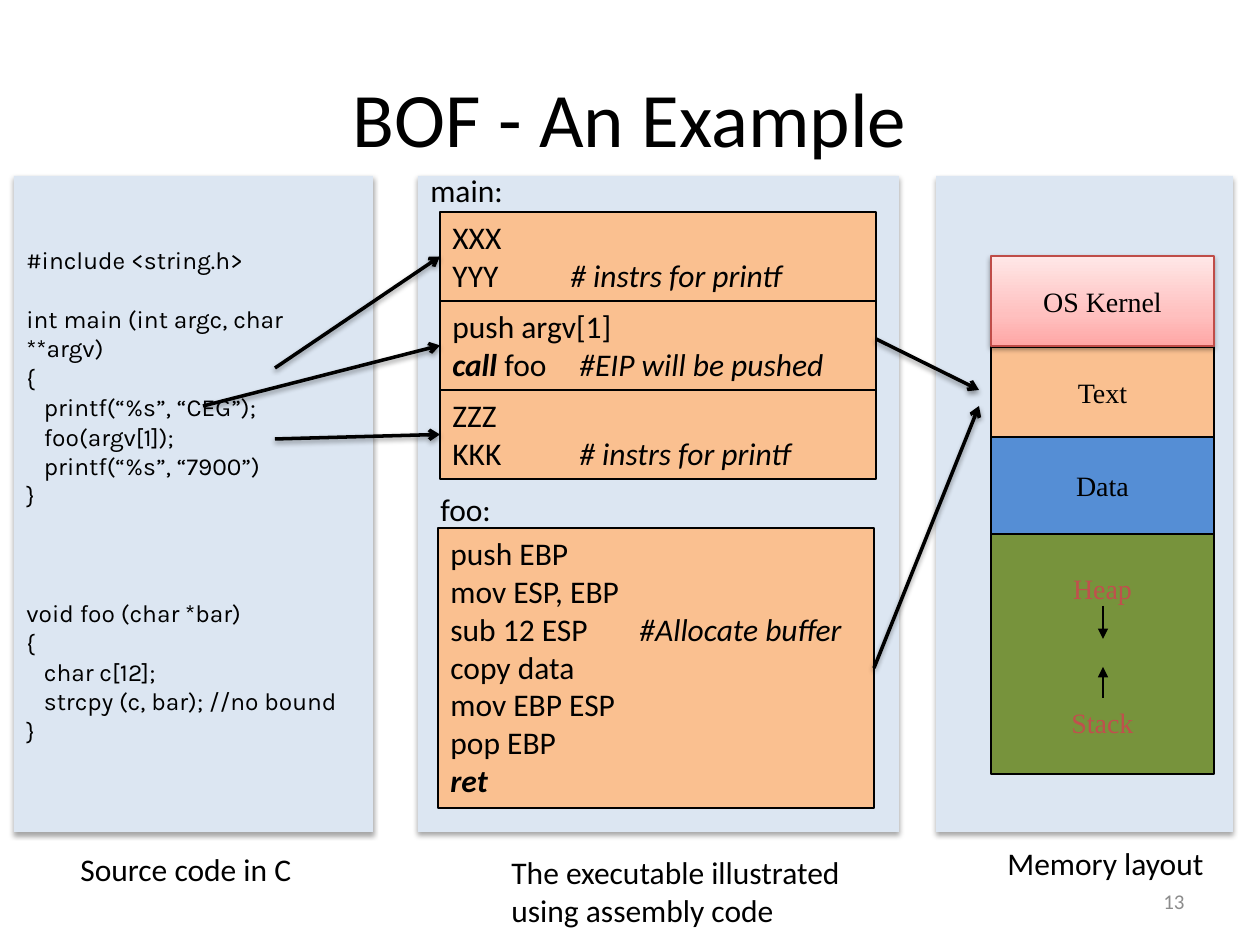
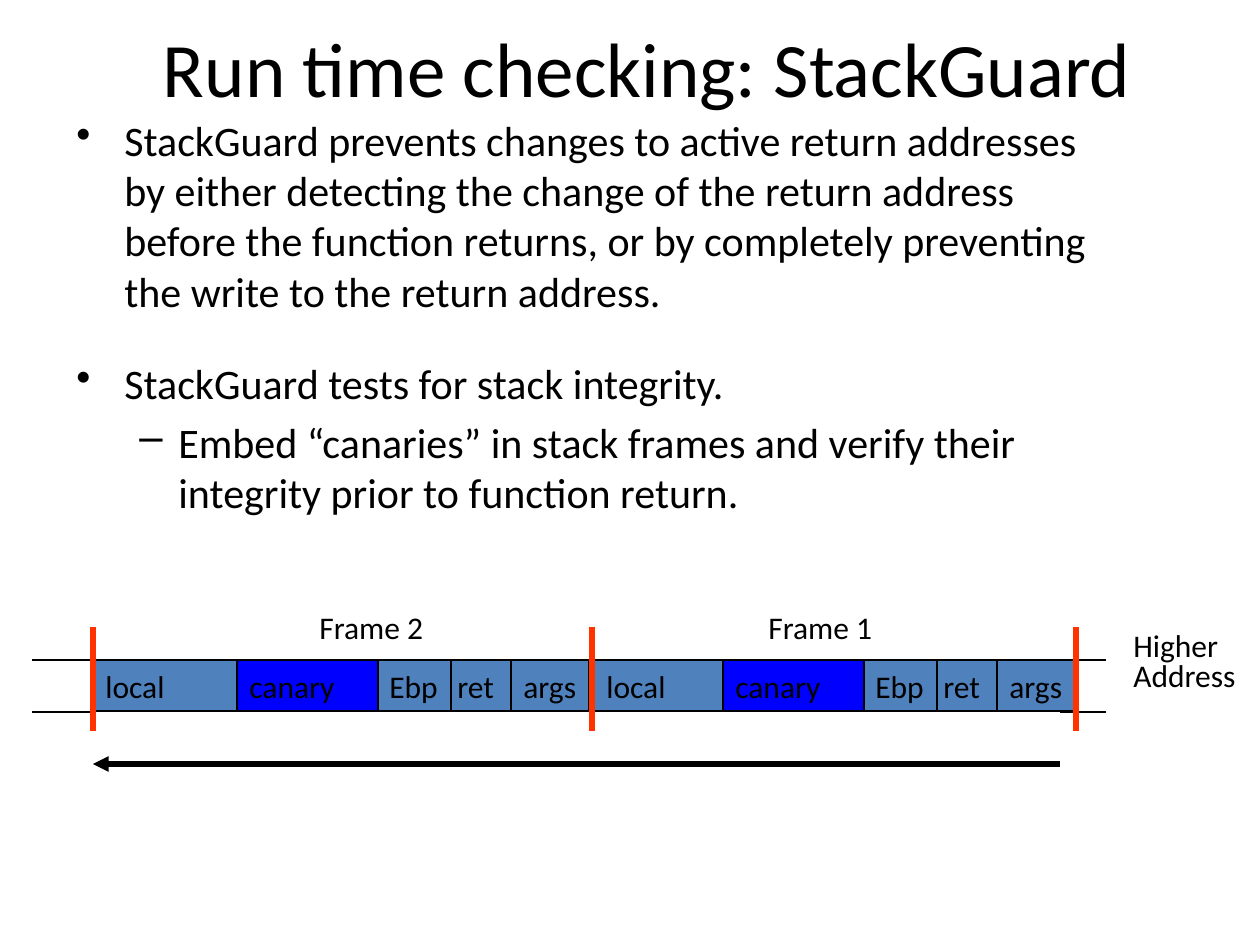
from copy import deepcopy

from pptx import Presentation
from pptx.dml.color import RGBColor
from pptx.enum.shapes import MSO_CONNECTOR, MSO_SHAPE
from pptx.enum.text import MSO_ANCHOR as ANCHOR, PP_ALIGN as ALIGN
from pptx.oxml import parse_xml
from pptx.oxml.ns import nsdecls, qn
from pptx.oxml.xmlchemy import OxmlElement
from pptx.util import Emu, Pt

PX = 914400 / 126
BODY_FONT, CODE_FONT, MEMORY_FONT = "Calibri", "Karla", "Times New Roman"
COLORS = {
    "black": "000000", "panel": "DCE6F2", "text": "FAC090", "data": "558ED5",
    "dynamic": "77933C", "heap label": "C0504D", "kernel line": "BF4C48",
    "page": "8C8C8C", "field": "4F81BD", "canary": "0000FF", "marker": "FF3300",
}
KERNEL_STOPS = [(0, "FFA6A5"), (0.35, "FFC0BF"), (1, "FFE7E7")]


def px(*lengths):
    return [Emu(round(length * PX)) for length in lengths]


def rgb(name):
    return RGBColor.from_string(COLORS[name])


# Text
def write(frame, lines, size=18, font=BODY_FONT, color="black", align=ALIGN.LEFT,
          anchor=ANCHOR.TOP, wrap=False, tab=None, line_spacing=None):
    """Each line is a string or a list of (text, style), style being '', 'b', 'i' or 'bi'."""
    frame.word_wrap = wrap
    frame.vertical_anchor = anchor
    for index, line in enumerate(lines):
        paragraph = frame.paragraphs[0] if index == 0 else frame.add_paragraph()
        paragraph.alignment = align
        if line_spacing:
            paragraph.line_spacing = line_spacing
        if tab:
            stops = OxmlElement("a:tabLst")
            stop = OxmlElement("a:tab")
            stop.set("pos", str(px(tab)[0]))
            stop.set("algn", "l")
            stops.append(stop)
            paragraph._p.get_or_add_pPr().append(stops)
        for text, style in [(line, "")] if isinstance(line, str) else line:
            run = paragraph.add_run()
            run.text = text
            run.font.name, run.font.size = font, Pt(size)
            run.font.color.rgb = rgb(color)
            run.font.bold, run.font.italic = "b" in style, "i" in style
    return frame


def add_title(slide, text, *box):
    title = slide.shapes.title
    title.left, title.top, title.width, title.height = px(*box)
    write(title.text_frame, [text], 44, align=ALIGN.CENTER, anchor=ANCHOR.MIDDLE, wrap=True)


def add_label(slide, box, *lines, **style):
    return write(slide.shapes.add_textbox(*px(*box)).text_frame, lines, **style)


def add_bullet(paragraph, mark, margin, hang):
    properties = paragraph._p.get_or_add_pPr()
    properties.set("marL", str(px(margin)[0]))
    properties.set("indent", str(-px(hang)[0]))
    bullet = OxmlElement("a:buChar")
    bullet.set("char", mark)
    properties.append(bullet)


# Shapes and lines
def add_shadow(element, alpha, distance):
    effects = element.spPr.find(qn("a:effectLst"))
    effects.append(parse_xml(
        f'<a:outerShdw {nsdecls("a")} blurRad="{Pt(3.1)}" dist="{Pt(distance)}" '
        f'dir="5400000" rotWithShape="0"><a:srgbClr val="{COLORS["black"]}">'
        f'<a:alpha val="{alpha * 1000}"/></a:srgbClr></a:outerShdw>'))


def add_box(slide, box, fill, line="black"):
    shape = slide.shapes.add_shape(MSO_SHAPE.RECTANGLE, *px(*box))
    shape.shadow.inherit = False
    shape.fill.solid()
    shape.fill.fore_color.rgb = rgb(fill)
    if line:
        shape.line.color.rgb = rgb(line)
        shape.line.width = Pt(0.75)
    else:
        shape.line.fill.background()
    return shape


def add_panel(slide, left, width):
    panel = add_box(slide, (left, 176, width, 656), "panel", None)
    add_shadow(panel._element, 35, 1.8)


def add_line(slide, start, end, width=0.75, color="black", head=None):
    line = slide.shapes.add_connector(MSO_CONNECTOR.STRAIGHT, *px(*start, *end))
    line.line.color.rgb = rgb(color)
    line.line.width = Pt(width)
    if head:
        tip = OxmlElement("a:tailEnd")
        tip.set("type", head)
        line.line._get_or_add_ln().append(tip)
    line._element.spPr.append(OxmlElement("a:effectLst"))
    return line


def add_flow_arrow(slide, start, end):
    arrow = add_line(slide, start, end, 2, head="arrow")
    add_shadow(arrow._element, 38, 1.6)
    return arrow


def add_code_block(slide, box, lines, tab):
    block = add_box(slide, box, "text")
    write(block.text_frame, lines, wrap=True, tab=tab)
    return block


def add_segment(slide, top, height, fill, name=None, line="black"):
    segment = add_box(slide, (991, top, 223, height), fill, line)
    if name:
        write(segment.text_frame, [name], 16, MEMORY_FONT,
              align=ALIGN.CENTER, anchor=ANCHOR.MIDDLE)
    return segment


def add_kernel(slide):
    kernel = add_segment(slide, 256, 90, "text", "OS Kernel", "kernel line")
    kernel.fill.gradient()
    kernel.fill.gradient_angle = 90
    stop_list = kernel._element.spPr.find(".//" + qn("a:gsLst"))
    stop_list.insert(1, deepcopy(stop_list[0]))
    for stop, (position, color) in zip(kernel.fill.gradient_stops, KERNEL_STOPS):
        stop.position = position
        stop.color.rgb = RGBColor.from_string(color)
    add_shadow(kernel._element, 38, 1.6)


# Slide 1
def add_source_code(slide):
    line_height = 16.8
    code = [  # (empty lines above, line)
        (0, "#include <string.h>"),
        (1, "int main (int argc, char **argv)"),
        (0, "{"),
        (0, "   printf(“%s”, “CEG”);"),
        (0, "   foo(argv[1]);"),
        (0, "   printf(“%s”, “7900”)"),
        (0, "}"),
        (3, "void foo (char *bar)"),
        (0, "{"),
        (0, "   char c[12];"),
        (0, "   strcpy (c, bar); //no bound"),
        (0, "}"),
    ]
    frame = add_label(slide, (14, 239, 359, 518), *[line for _, line in code],
                      size=14, font=CODE_FONT, wrap=True)
    for paragraph, (gap, _) in zip(frame.paragraphs, code):
        if gap:
            paragraph.space_before = Pt(gap * line_height)


def add_assembly(slide):
    add_label(slide, (418, 165, 98, 50), "main:")
    add_label(slide, (428, 484, 77, 50), "foo:")
    main_parts = [  # lines, tab stop, start of the arrow from the source code
        (["XXX", [("YYY\t", ""), ("# instrs for printf", "i")]], 118, (275, 368)),
        (["push argv[1]", [("call", "bi"), (" foo\t", ""), ("#EIP will be pushed", "i")]],
         127, (203, 406)),
        (["ZZZ", [("KKK\t", ""), ("# instrs for printf", "i")]], 127, (275, 439)),
    ]
    for row, (lines, tab, source) in enumerate(main_parts):
        top = 212 + 89 * row
        block = add_code_block(slide, (440, top, 436, 89), lines, tab)
        add_flow_arrow(slide, source, (440, top + 44)).end_connect(block, 1)
    foo = add_code_block(slide, (438, 528, 436, 280), [
        "push EBP", "mov ESP, EBP",
        [("sub 12 ESP\t", ""), ("#Allocate buffer", "i")],
        "copy data", "mov EBP ESP", "pop EBP", [("ret", "bi")]], 189)
    add_flow_arrow(slide, (876, 339), (979, 390))
    add_flow_arrow(slide, (874, 668), (979, 406)).begin_connect(foo, 3)


def add_memory(slide):
    add_segment(slide, 347, 90, "text", "Text")
    add_segment(slide, 437, 97, "data", "Data")
    add_segment(slide, 534, 240, "dynamic")
    for name, top, start, end in [("Heap", 568, 606, 639), ("Stack", 702, 698, 667)]:
        add_label(slide, (991, top, 223, 40), name, size=16, font=MEMORY_FONT,
                  color="heap label", align=ALIGN.CENTER, anchor=ANCHOR.MIDDLE, wrap=True)
        add_line(slide, (1103, start), (1103, end), head="triangle")
    add_kernel(slide)


def build_example(slide):
    add_title(slide, "BOF - An Example", 63, 38, 1134, 158)
    for left, width in [(936, 297), (418, 481), (14, 359)]:
        add_panel(slide, left, width)
    add_source_code(slide)
    add_assembly(slide)
    add_memory(slide)
    # Captions and page number
    add_label(slide, (68, 844, 239, 50), "Source code in C")
    add_label(slide, (499, 847, 360, 89), "The executable illustrated", "using assembly code")
    add_label(slide, (995, 838, 226, 50), "Memory layout")
    add_label(slide, (903, 876, 294, 50), "13", size=12, color="page",
              align=ALIGN.RIGHT, anchor=ANCHOR.MIDDLE, wrap=True)


# Slide 2
def add_points(slide):
    points = [  # text, bullet, margin, hanging indent, space before
        ("StackGuard prevents changes to active return addresses by either detecting "
         "the change of the return address before the function returns, or by completely "
         "preventing the write to the return address.", "•", 48, 48, 0),
        ("StackGuard tests for stack integrity.", "•", 48, 48, 24),
        ("Embed “canaries” in stack frames and verify their integrity prior to "
         "function return.", "–", 102, 39, 4.8),
    ]
    frame = add_label(slide, (64, 108, 1058, 441), *[point[0] for point in points],
                      size=24, wrap=True)
    for paragraph, (_, mark, margin, hang, before) in zip(frame.paragraphs, points):
        if before:
            paragraph.space_before = Pt(before)
        add_bullet(paragraph, mark, margin, hang)


def add_frame(slide, name, name_left, local_left, canary_left):
    fields = [  # name, left, width
        ("args", canary_left + 274, 78),
        ("ret", canary_left + 208, 66),
        ("Ebp", canary_left + 140, 74),
        ("local", local_left, canary_left - local_left),
        ("canary", canary_left, 141),
    ]
    for field, left, width in fields:
        cell = add_box(slide, (left, 660, width, 51),
                       "canary" if field == "canary" else "field")
        write(cell.text_frame, [field], anchor=ANCHOR.MIDDLE)
    add_label(slide, (name_left, 602, 140, 50), name)


def build_stackguard(slide):
    add_title(slide, "Run time checking: StackGuard", 45, 4, 1205, 126)
    add_points(slide)
    # Stack edges run on past both frames
    for edge in (660, 712):
        add_line(slide, (93, edge), (32, edge))
        add_line(slide, (1060, edge), (1106, edge))
    add_frame(slide, "Frame 1", 756, 594, 723)
    add_frame(slide, "Frame 2", 307, 93, 237)
    for boundary in (93, 592, 1076):
        add_line(slide, (boundary, 627), (boundary, 731), 3, "marker")
    add_line(slide, (1060, 764), (93, 764), 3, head="triangle")
    add_label(slide, (1121, 627, 129, 74), "Higher", "Address", line_spacing=0.8)


def main():
    deck = Presentation()
    deck.slide_width, deck.slide_height = px(1260, 945)
    title_only = deck.slide_layouts[5]
    for build in (build_example, build_stackguard):
        build(deck.slides.add_slide(title_only))
    deck.save("out.pptx")


if __name__ == "__main__":
    main()
